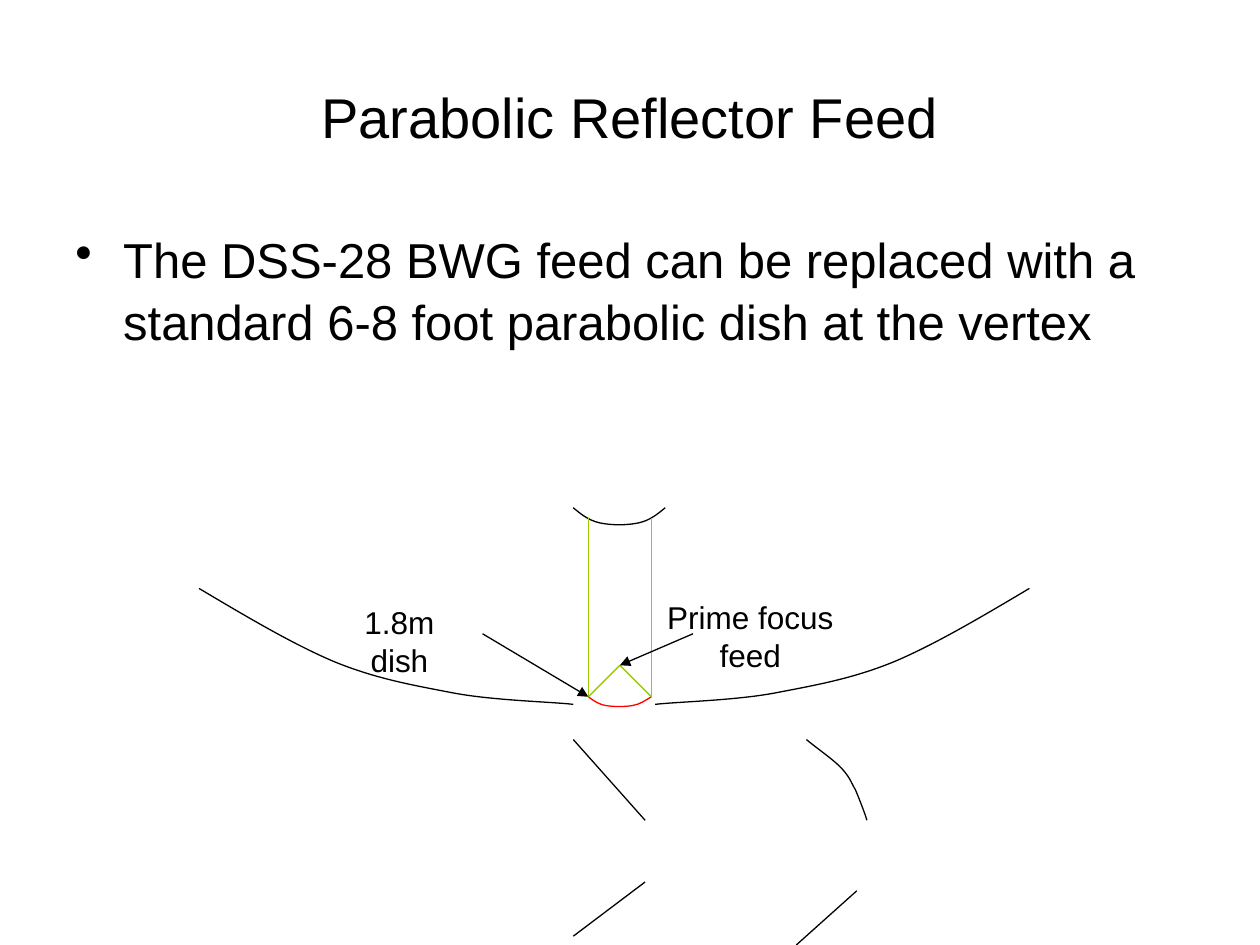
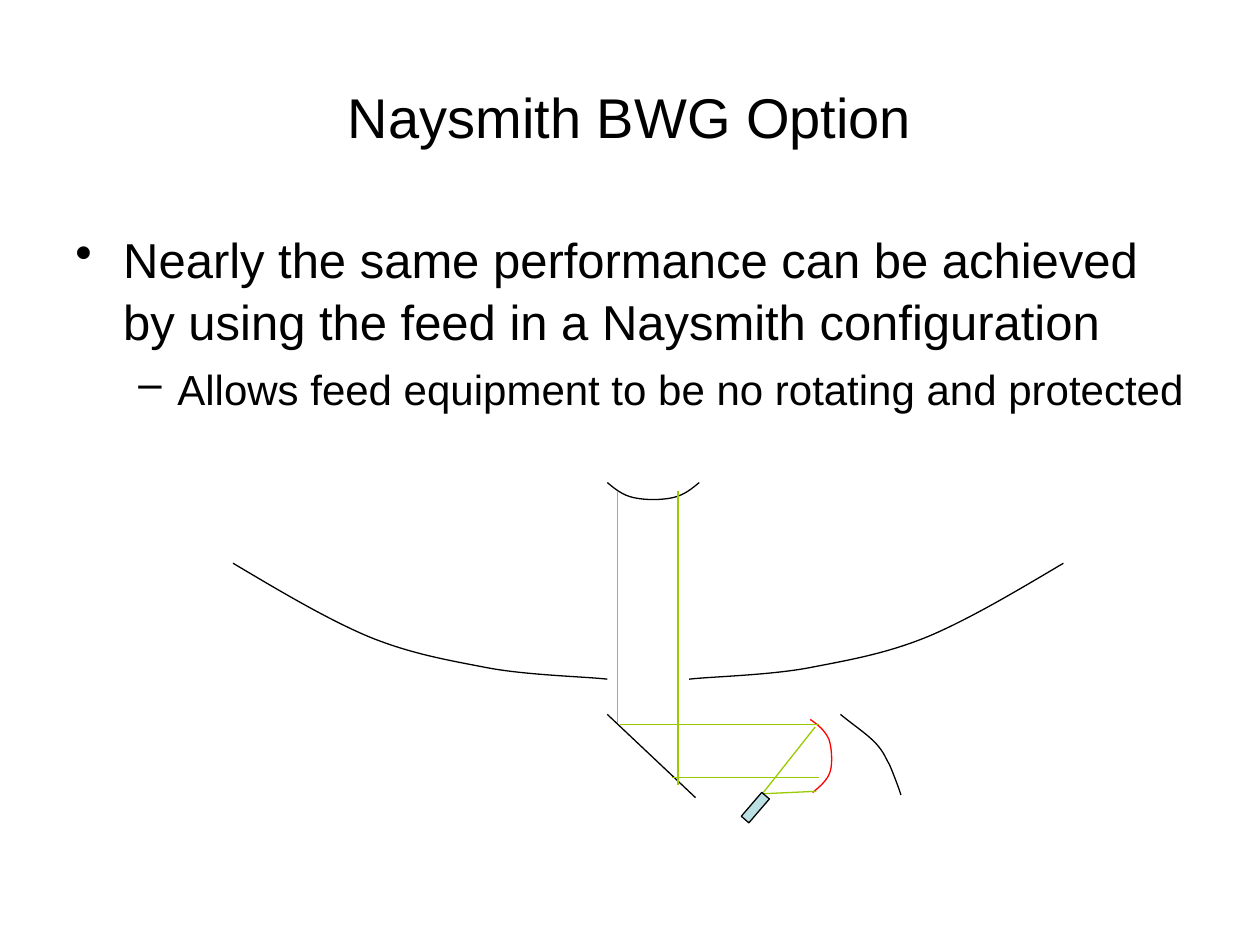
from lxml import etree
from pptx import Presentation
from pptx.dml.color import RGBColor
from pptx.enum.shapes import MSO_CONNECTOR, MSO_SHAPE
from pptx.enum.text import MSO_ANCHOR, MSO_AUTO_SIZE, PP_ALIGN
from pptx.oxml.ns import qn
from pptx.util import Inches, Pt

STRAIGHT = MSO_CONNECTOR.STRAIGHT
RECT = MSO_SHAPE.RECTANGLE
MIDDLE = MSO_ANCHOR.MIDDLE
NO_FIT = MSO_AUTO_SIZE.NONE
CENTER = PP_ALIGN.CENTER

BLACK = RGBColor(0x00, 0x00, 0x00)
RED = RGBColor(0xFF, 0x00, 0x00)
GREEN = RGBColor(0x99, 0xCC, 0x00)
PALE = RGBColor(0xBB, 0xE0, 0xE3)

WIDE, HIGH = 10, 7.5
FONT = "Arial"
THIN = Pt(0.75)
TITLE_BOX = (0.5, 0.3, 9, 1.25)
BODY_BOX = (0.5, 1.75, 9, 4.95)
LEVELS = [("•", 28, 7, 0.38, -0.38), ("–", 24, 6, 0.81, -0.31)]

SPAN = 6.59
DISH = [(0, 0.64), (0.37, 0.86), (0.74, 1.08), (1.07, 1.22), (1.41, 1.36),
        (1.71, 1.41), (2.02, 1.47), (2.34, 1.53), (2.8, 1.54), (2.97, 1.56)]
SUB = [(2.97, 0), (3.03, 0.05), (3.09, 0.1), (3.18, 0.12), (3.27, 0.14),
       (3.4, 0.14), (3.49, 0.12), (3.58, 0.1), (3.64, 0.05), (3.7, 0)]
GUIDE = [(4.82, 1.84), (4.93, 1.93), (5.05, 2.01), (5.11, 2.08), (5.17, 2.15),
         (5.17, 2.17), (5.21, 2.24), (5.24, 2.31), (5.29, 2.44), (5.3, 2.48)]
SMALL = [(3.09, 1.5), (3.13, 1.53), (3.17, 1.56), (3.23, 1.57), (3.29, 1.58),
         (3.38, 1.58), (3.44, 1.57), (3.5, 1.56), (3.54, 1.53), (3.59, 1.5)]
SIDE = [(4.6, 2.46), (4.66, 2.41), (4.72, 2.36), (4.74, 2.29), (4.76, 2.22),
        (4.75, 2.1), (4.73, 2.04), (4.7, 1.97), (4.64, 1.92), (4.58, 1.88)]


def place(origin, point):
    """Turn a point relative to the origin into slide lengths."""
    return tuple(Inches(a + b) for a, b in zip(origin, point))


def style(para, size):
    """Set the shared font on a paragraph."""
    para.font.name = FONT
    para.font.size = Pt(size)
    para.font.color.rgb = BLACK


def line(slide, origin, start, end, color=BLACK, arrow=False):
    """Draw a straight line, with an arrowhead at its end if asked."""
    link = slide.shapes.add_connector(
        STRAIGHT, *place(origin, start), *place(origin, end))
    link.line.color.rgb = color
    link.line.width = THIN
    props = link._element.spPr
    if arrow:
        etree.SubElement(props.find(qn("a:ln")), qn("a:tailEnd"), type="triangle")
    etree.SubElement(props, qn("a:effectLst"))


def curve(slide, origin, points, color=BLACK):
    """Draw an open Bézier curve from a start and triples of points."""
    first, *rest = [place(origin, point) for point in points]
    pen = slide.shapes.build_freeform(*first)
    pen.add_line_segments(rest, close=False)
    shape = pen.convert_to_shape()
    shape.shadow.inherit = False
    shape.fill.background()
    shape.line.color.rgb = color
    shape.line.width = THIN
    steps = list(shape._element.iter(qn("a:lnTo")))
    track = steps[0].getparent()
    for i in range(0, len(steps), 3):
        bend = etree.SubElement(track, qn("a:cubicBezTo"))
        for step in steps[i:i + 3]:
            bend.append(step[0])
            track.remove(step)


def label(slide, origin, text, spot, size):
    """Add a centred one-line label."""
    box = slide.shapes.add_textbox(
        *place(origin, spot), *map(Inches, size))
    box.text_frame.word_wrap = False
    para = box.text_frame.paragraphs[0]
    para.text = text
    para.alignment = CENTER
    style(para, 18)


def page(deck, title, items):
    """Add a slide with its title and bulleted text."""
    slide = deck.slides.add_slide(deck.slide_layouts[5])
    head = slide.shapes.title
    head.left, head.top, head.width, head.height = map(Inches, TITLE_BOX)
    frame = head.text_frame
    frame.text = title
    frame.auto_size = NO_FIT
    frame.vertical_anchor = MIDDLE
    frame.paragraphs[0].alignment = CENTER
    style(frame.paragraphs[0], 32)

    frame = slide.shapes.add_textbox(*map(Inches, BODY_BOX)).text_frame
    frame.word_wrap = True
    frame.margin_right = Inches(0.05)
    for level, text in enumerate(items):
        para = frame.add_paragraph() if level else frame.paragraphs[0]
        mark, size, gap, left, hang = LEVELS[level]
        para.text = text
        para.level = level
        para.space_before = Pt(gap)
        para.line_spacing = 1.05
        style(para, size)
        props = para._p.get_or_add_pPr()
        props.set("marL", str(Inches(left)))
        props.set("indent", str(Inches(hang)))
        etree.SubElement(props, qn("a:buChar"), char=mark)
    return slide


def dishes(slide, origin, mirror):
    """Draw the main dish, the subreflector and the lower mirrors."""
    curve(slide, origin, DISH)
    curve(slide, origin, [(SPAN - x, y) for x, y in DISH])
    curve(slide, origin, SUB)
    line(slide, origin, (2.97, 1.84), mirror)
    curve(slide, origin, GUIDE)


def focus(slide, origin):
    """Draw the small dish at the vertex with its feed and labels."""
    dishes(slide, origin, (3.54, 2.48))
    line(slide, origin, (5.22, 3.04), (4.74, 3.47))
    line(slide, origin, (3.54, 2.97), (2.97, 3.4))
    curve(slide, origin, SMALL, RED)
    feed = (3.34, 1.25)
    for x, y in (SMALL[0], SMALL[-1]):
        line(slide, origin, feed, (x, y), GREEN)
        line(slide, origin, (x, y), (x, 0.08), GREEN)
    line(slide, origin, (3.92, 1), feed, arrow=True)
    label(slide, origin, "Prime focus feed", (3.34, 0.67), (2.07, 0.4))
    line(slide, origin, (2.25, 1), SMALL[0], arrow=True)
    label(slide, origin, "1.8m dish", (0.95, 0.71), (1.28, 0.4))


def sideways(slide, origin):
    """Draw the beam turned to a side mirror and a fixed feed."""
    dishes(slide, origin, (3.67, 2.5))
    curve(slide, origin, SIDE, RED)
    feed = (4.2, 2.47)
    rays = [((3.05, 1.91), (3.05, 0.07)), ((3.53, 2.4), (3.53, 0.07)),
            ((4.62, 1.94), feed), ((4.63, 2.45), feed),
            ((4.65, 2.34), (3.48, 2.34)), ((3.07, 1.92), (4.65, 1.92))]
    for start, end in rays:
        line(slide, origin, start, end, GREEN)
    horn = slide.shapes.add_shape(
        RECT, *place(origin, (4.02, 2.54)), Inches(0.25), Inches(0.08))
    horn.rotation = 310.7
    horn.shadow.inherit = False
    horn.fill.solid()
    horn.fill.fore_color.rgb = PALE
    horn.line.color.rgb = BLACK
    horn.line.width = THIN


def main():
    """Build and save both slides."""
    deck = Presentation()
    deck.slide_width, deck.slide_height = Inches(WIDE), Inches(HIGH)
    slide = page(deck, "Parabolic Reflector Feed", [
        "The DSS-28 BWG feed can be replaced with a standard 6-8 foot "
        "parabolic dish at the vertex"])
    focus(slide, (1.58, 4.03))
    slide = page(deck, "Naysmith BWG Option", [
        "Nearly the same performance can be achieved by using the feed "
        "in a Naysmith configuration",
        "Allows feed equipment to be no rotating and protected"])
    sideways(slide, (1.85, 3.83))
    deck.save("out.pptx")


if __name__ == "__main__":
    main()
